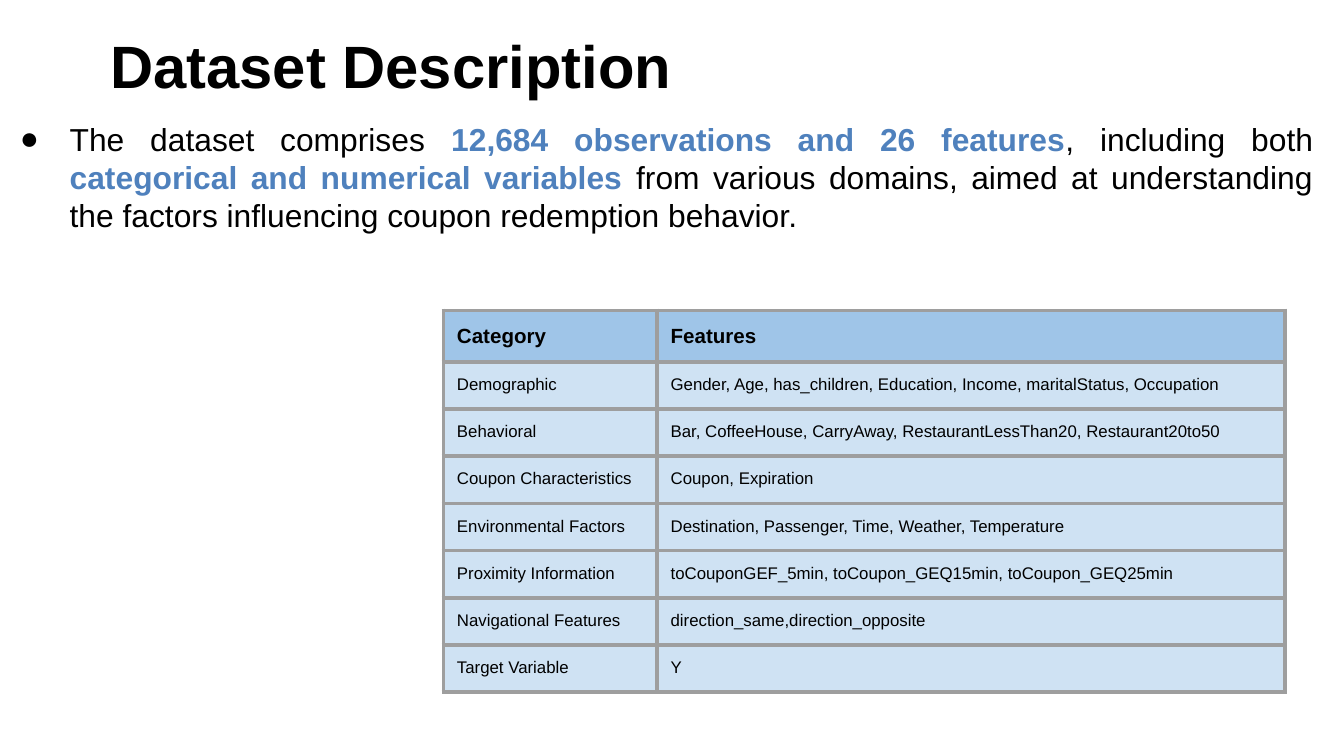
from dataclasses import dataclass

from lxml.etree import SubElement
from pptx import Presentation
from pptx.dml.color import RGBColor
from pptx.enum.text import MSO_ANCHOR, PP_ALIGN
from pptx.oxml.ns import qn
from pptx.util import Inches, Pt


@dataclass(frozen=True)
class Theme:
    font: str = "Arial"
    text: str = "000000"
    accent: str = "4F81BD"
    header_fill: str = "9FC5E8"
    body_fill: str = "CFE2F3"
    border: str = "9E9E9E"
    border_width: float = 2.25
    title_size: int = 32
    summary_size: int = 17
    header_size: int = 11
    body_size: int = 9


THEME = Theme()

# Text and whether it is emphasised
SUMMARY = [
    ("The dataset comprises ", False),
    ("12,684 observations and 26 features", True),
    (", including both ", False),
    ("categorical and numerical variables ", True),
    ("from various domains, aimed at understanding the factors influencing "
     "coupon redemption behavior.", False),
]

FEATURE_ROWS = [
    ("Category", "Features"),
    ("Demographic", "Gender, Age, has_children, Education, Income, maritalStatus, Occupation"),
    ("Behavioral", "Bar, CoffeeHouse, CarryAway, RestaurantLessThan20, Restaurant20to50"),
    ("Coupon Characteristics", "Coupon, Expiration"),
    ("Environmental Factors", "Destination, Passenger, Time, Weather, Temperature"),
    ("Proximity Information", "toCouponGEF_5min, toCoupon_GEQ15min, toCoupon_GEQ25min"),
    ("Navigational Features", "direction_same,direction_opposite"),
    ("Target Variable", "Y"),
]


def style_font(font, size, bold=None, color=THEME.text):
    font.name = THEME.font
    font.size = Pt(size)
    font.bold = bold
    font.color.rgb = RGBColor.from_string(color)


def set_margins(target, horizontal, vertical):
    target.margin_left = target.margin_right = Inches(horizontal)
    target.margin_top = target.margin_bottom = Inches(vertical)


def add_text_frame(slide, left, top, width, height, vertical_margin):
    shape = slide.shapes.add_textbox(Inches(left), Inches(top), Inches(width), Inches(height))
    text_frame = shape.text_frame
    text_frame.word_wrap = True
    set_margins(text_frame, 0.1, vertical_margin)
    return text_frame


def add_title(slide, text):
    text_frame = add_text_frame(slide, -0.05, 0.01, 5.92, 0.94, 0.05)
    text_frame.vertical_anchor = MSO_ANCHOR.MIDDLE
    paragraph = text_frame.paragraphs[0]
    paragraph.text = text
    paragraph.alignment = PP_ALIGN.CENTER
    style_font(paragraph.font, THEME.title_size, True)


def add_bullet(paragraph, indent, hanging, size):
    properties = paragraph._p.get_or_add_pPr()
    properties.set("marL", str(Inches(indent)))
    properties.set("indent", str(-Inches(hanging)))
    color = SubElement(properties, qn("a:buClr"))
    SubElement(color, qn("a:srgbClr"), val=THEME.text)
    SubElement(properties, qn("a:buSzPts"), val=str(size * 100))
    SubElement(properties, qn("a:buFont"), typeface=THEME.font)
    SubElement(properties, qn("a:buChar"), char="●")


def add_summary(slide, pieces):
    text_frame = add_text_frame(slide, -0.08, 0.79, 9.95, 1.22, 0.1)
    paragraph = text_frame.paragraphs[0]
    paragraph.alignment = PP_ALIGN.JUSTIFY
    add_bullet(paragraph, 0.5, 0.37, THEME.summary_size)
    style_font(paragraph.font, THEME.summary_size)
    for text, emphasised in pieces:
        run = paragraph.add_run()
        run.text = text
        color = THEME.accent if emphasised else THEME.text
        style_font(run.font, THEME.summary_size, emphasised, color)


def add_borders(cell):
    properties = cell._tc.get_or_add_tcPr()
    for side in ("lnL", "lnR", "lnT", "lnB"):
        line = SubElement(properties, qn(f"a:{side}"), w=str(Pt(THEME.border_width)))
        fill = SubElement(line, qn("a:solidFill"))
        SubElement(fill, qn("a:srgbClr"), val=THEME.border)


def fill_cell(cell, text, is_header):
    set_margins(cell, 0.1, 0.1)
    cell.vertical_anchor = MSO_ANCHOR.MIDDLE if is_header else MSO_ANCHOR.TOP
    add_borders(cell)
    cell.fill.solid()
    fill_color = THEME.header_fill if is_header else THEME.body_fill
    cell.fill.fore_color.rgb = RGBColor.from_string(fill_color)
    paragraph = cell.text_frame.paragraphs[0]
    paragraph.text = text
    size = THEME.header_size if is_header else THEME.body_size
    style_font(paragraph.font, size, is_header)


def add_feature_table(slide, rows):
    column_widths = (1.59, 4.67)
    row_heights = [0.38] + [0.33] * (len(rows) - 1)
    shape = slide.shapes.add_table(
        len(rows), len(column_widths), Inches(3.3), Inches(2.31),
        Inches(sum(column_widths)), Inches(sum(row_heights)))
    table = shape.table
    for column, width in zip(table.columns, column_widths):
        column.width = Inches(width)
    for row_index, (texts, height) in enumerate(zip(rows, row_heights)):
        row = table.rows[row_index]
        row.height = Inches(height)
        for cell, text in zip(row.cells, texts):
            fill_cell(cell, text, row_index == 0)


def main():
    # Widescreen slide, 16:9
    presentation = Presentation()
    presentation.slide_width = Inches(10)
    presentation.slide_height = Inches(10 * 9 / 16)
    slide = presentation.slides.add_slide(presentation.slide_layouts[6])

    # Heading, feature table and summary
    add_title(slide, "Dataset Description")
    add_feature_table(slide, FEATURE_ROWS)
    add_summary(slide, SUMMARY)

    presentation.save("out.pptx")


if __name__ == "__main__":
    main()
